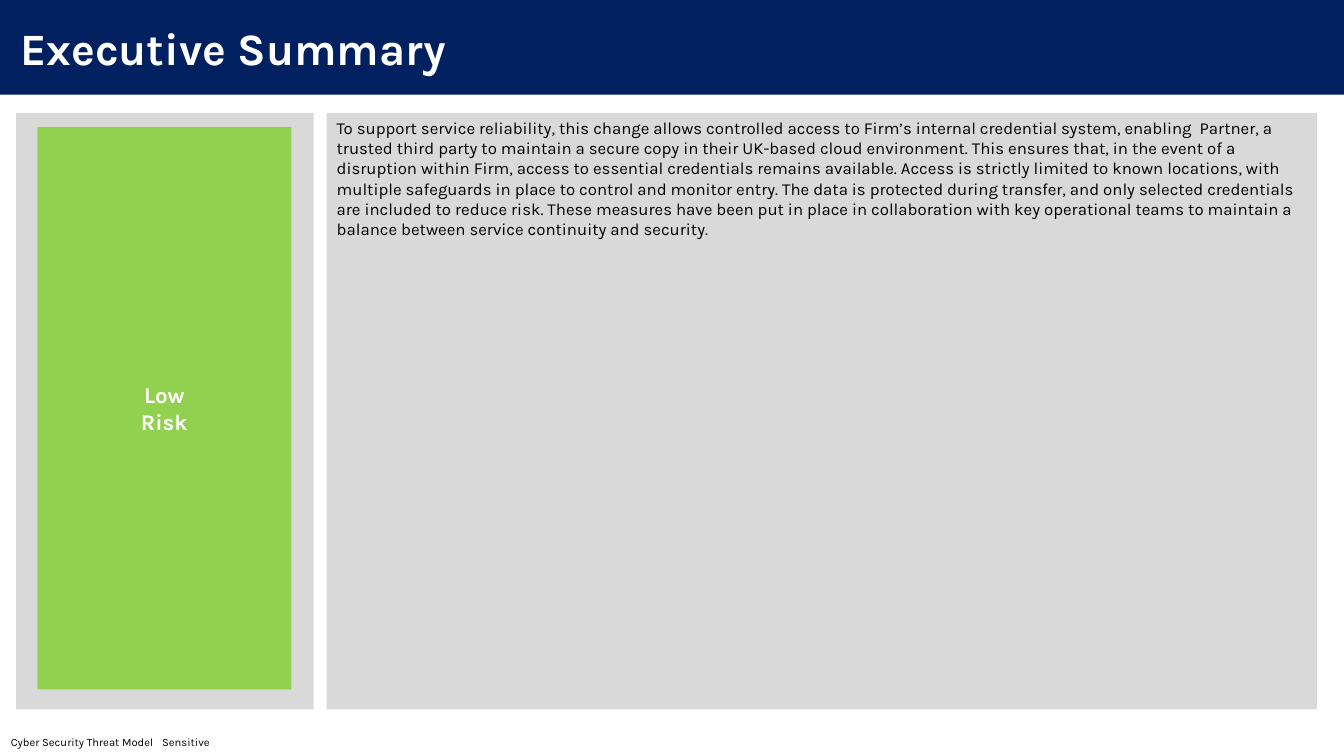
import pptx
import pptx.util
import pptx.dml.color
import pptx.enum.shapes
import pptx.enum.text
import lxml.etree

Inch = pptx.util.Inches
Align = pptx.enum.text.PP_ALIGN
Anchor = pptx.enum.text.MSO_ANCHOR

deck = pptx.Presentation()
deck.slide_width, deck.slide_height = Inch(13.33), Inch(7.5)
slide = deck.slides.add_slide(deck.slide_layouts[5])


def color(target, code):
    """Give a fill or a font the colour of a hex string."""
    if hasattr(target, "solid"):
        target.solid()
        target = target.fore_color
    else:
        target = target.color
    target.rgb = pptx.dml.color.RGBColor.from_string(code)


def setup(shape, area, lines, frame, font, ink, align, indent=0):
    """Place a shape by percent of the slide, then write and format its text."""
    sides = ("left", "top", "width", "height")
    spans = (deck.slide_width, deck.slide_height) * 2
    for side, share, span in zip(sides, area, spans):
        setattr(shape, side, int(span * share / 100))
    box = shape.text_frame
    box.text = lines
    for name, value in {"word_wrap": True, "auto_size": pptx.enum.text.MSO_AUTO_SIZE.NONE, **frame}.items():
        setattr(box, name, value)
    for para in box.paragraphs:
        para.alignment = align
        props = para._p.get_or_add_pPr()
        props.set("marL", str(Inch(indent)))
        props.set("indent", "0")
        for name, value in {"name": "Karla", **font}.items():
            setattr(para.font, name, value)
        color(para.font, ink)


middle = {"vertical_anchor": Anchor.MIDDLE}
top = {"vertical_anchor": Anchor.TOP}
small = {"size": pptx.util.Pt(8)}
body = {"size": pptx.util.Pt(12)}
label = {"size": pptx.util.Pt(16), "bold": True}
head = {"size": pptx.util.Pt(32), "bold": True}

# Title band
title = slide.shapes.title
color(title.fill, "002060")
setup(title, (0, 0, 100, 12.53), "Executive Summary", middle, head, "FFFFFF", Align.LEFT, 0.1)

# Footer with a right tab stop
foot = slide.shapes.add_textbox(0, 0, 0, 0)
setup(foot, (0, 96.4, 100, 3.6), "Cyber Security Threat Model\tSensitive",
      middle, small, "000000", Align.LEFT, 0.01)
props = foot.text_frame.paragraphs[0]._p.get_or_add_pPr()
tabs = pptx.oxml.parse_xml(
    '<a:tabLst xmlns:a="http://schemas.openxmlformats.org/drawingml/2006/main">'
    f'<a:tab pos="{Inch(13.07)}" algn="r"/></a:tabLst>')
props.insert_element_before(tabs, "a:defRPr", "a:extLst")

# Summary panel, risk panel and risk rating
summary = (
    "To support service reliability, this change allows controlled access to Firm’s internal "
    "credential system, enabling\u00a0 Partner, a trusted third party to maintain a secure copy in "
    "their UK-based cloud environment. This ensures that, in the event of a disruption within Firm, "
    "access to essential credentials remains available. Access is strictly limited to known "
    "locations, with multiple safeguards in place to control and monitor entry. The data is "
    "protected during transfer, and only selected credentials are included to reduce risk. These "
    "measures have been put in place in collaboration with key operational teams to maintain a "
    "balance between service continuity and security.")
panels = [
    ((24.31, 14.93, 73.67, 78.93), "D9D9D9", summary, top, body, "000000", Align.LEFT),
    ((1.2, 14.93, 22.13, 78.93), "D9D9D9", "", top, body, "000000", Align.LEFT),
    ((2.78, 16.8, 18.9, 74.4), "92D050", "Low\nRisk", middle, label, "FFFFFF", Align.CENTER),
]
for area, back, lines, frame, font, ink, align in panels:
    panel = slide.shapes.add_shape(pptx.enum.shapes.MSO_SHAPE.RECTANGLE, 0, 0, 0, 0)
    panel.shadow.inherit = False
    panel.line.fill.background()
    color(panel.fill, back)
    setup(panel, area, lines, frame, font, ink, align)

deck.save("out.pptx")
